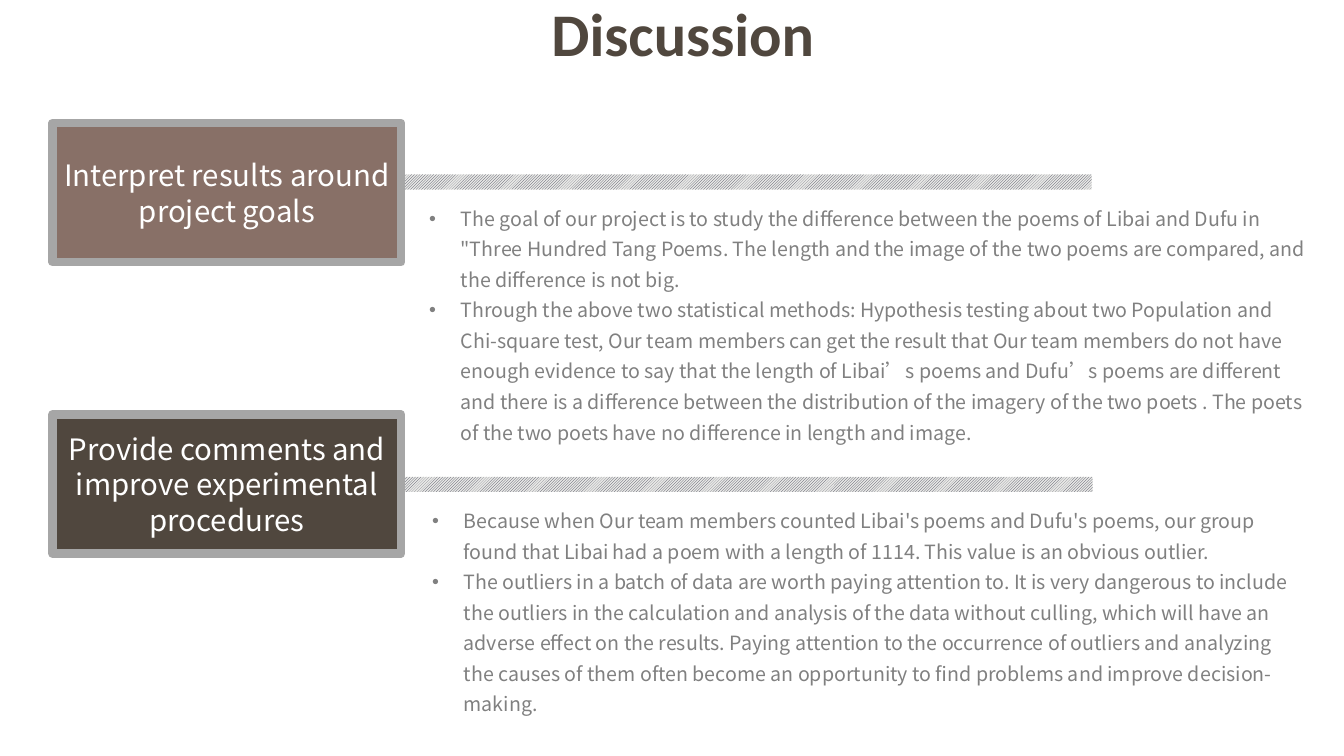
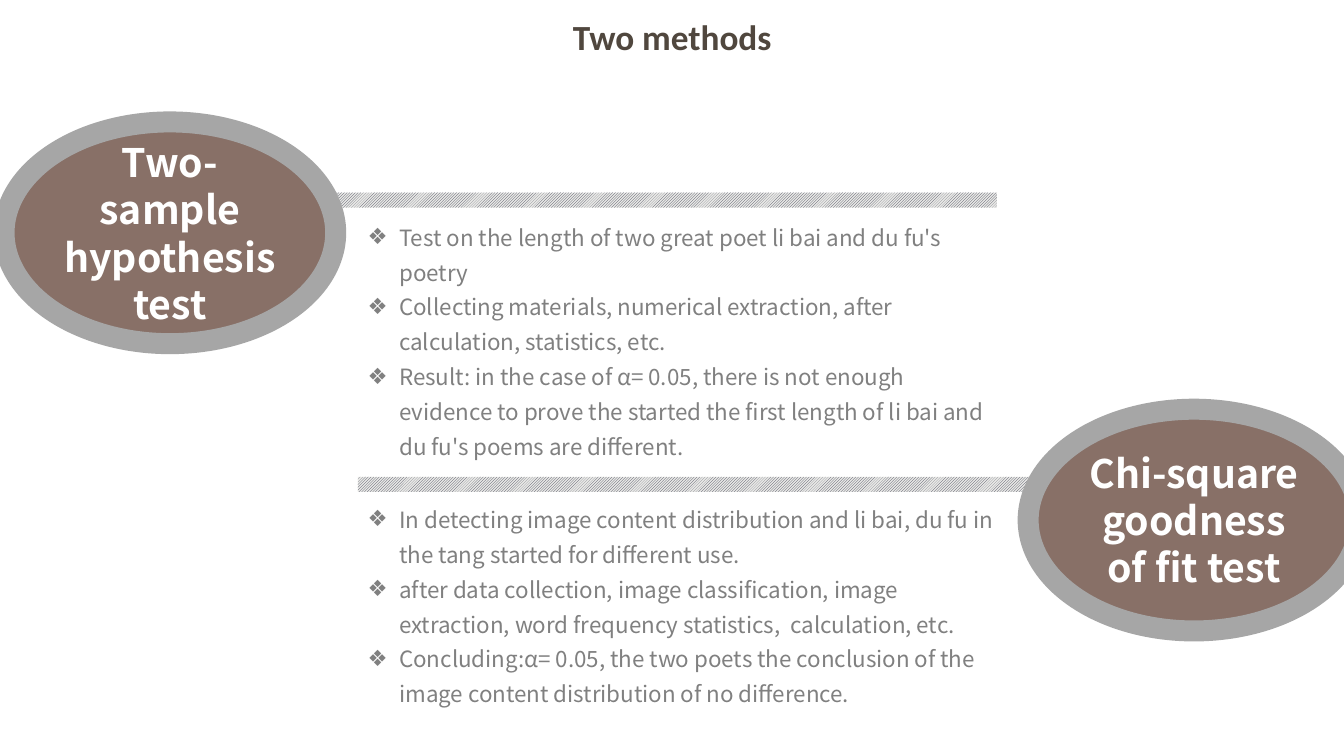
import dataclasses

import lxml.etree
import pptx
import pptx.dml.color
import pptx.enum.dml
import pptx.enum.shapes
import pptx.enum.text
import pptx.oxml.ns
import pptx.util

Pt = pptx.util.Pt
COLORS = {
    "dark": "50473E",
    "brown": "887067",
    "border": "A6A6A6",
    "body": "808080",
    "white": "FFFFFF",
    "stripe": "414455",
    "stripe_back": "E8E8E6",
}
TITLE_FONT = "Calibri"
BODY_FONT = "Noto Sans CJK SC"
BAR_SIZE = (493.2, 10.8)
INDENT = Pt(22.5)
CENTER = pptx.enum.text.PP_ALIGN.CENTER
MIDDLE = pptx.enum.text.MSO_ANCHOR.MIDDLE


@dataclasses.dataclass
class TopicStyle:
    badge_shape: int
    badge_size: tuple
    badge_margins: tuple
    border: float
    label_size: float
    label_bold: bool
    bullet: str
    body_size: float


DISCUSSION = TopicStyle(
    pptx.enum.shapes.MSO_SHAPE.RECTANGLE, (249.1, 99.4), (0, 0), 6, 21, False, "•", 14
)
METHODS = TopicStyle(
    pptx.enum.shapes.MSO_SHAPE.OVAL, (236.9, 158.4), (7.2, 3.6), 15, 28, True, "❖", 16
)


def rgb(name):
    return pptx.dml.color.RGBColor.from_string(COLORS[name])


def points(*lengths):
    return [Pt(length) for length in lengths]


def format_runs(paragraph, font_name, size, color, bold=False):
    for run in paragraph.runs:
        run.font.name = font_name
        run.font.size = Pt(size)
        run.font.bold = bold
        run.font.color.rgb = rgb(color)


def set_bullet(paragraph, symbol):
    properties = paragraph._p.get_or_add_pPr()
    properties.set("marL", str(INDENT))
    properties.set("indent", str(-INDENT))
    for tag, key, value in (("a:buFont", "typeface", "Arial"), ("a:buChar", "char", symbol)):
        bullet = lxml.etree.SubElement(properties, pptx.oxml.ns.qn(tag))
        bullet.set(key, value)


def add_title(slide, text, box, size):
    title = slide.shapes.title
    title.left, title.top, title.width, title.height = points(*box)
    frame = title.text_frame
    frame.text = text
    frame.auto_size = pptx.enum.text.MSO_AUTO_SIZE.NONE
    frame.vertical_anchor = MIDDLE
    frame.paragraphs[0].alignment = CENTER
    format_runs(frame.paragraphs[0], TITLE_FONT, size, "dark", True)


def add_bar(slide, left, top):
    bar = slide.shapes.add_shape(
        pptx.enum.shapes.MSO_SHAPE.RECTANGLE, *points(left, top, *BAR_SIZE)
    )
    bar.shadow.inherit = False
    bar.line.fill.background()
    bar.fill.patterned()
    bar.fill.pattern = pptx.enum.dml.MSO_PATTERN.LIGHT_UPWARD_DIAGONAL
    bar.fill.fore_color.rgb = rgb("stripe")
    bar.fill.back_color.rgb = rgb("stripe_back")


def add_badge(slide, left, top, label, color, style):
    badge = slide.shapes.add_shape(
        style.badge_shape, *points(left, top, *style.badge_size)
    )
    badge.shadow.inherit = False
    badge.fill.solid()
    badge.fill.fore_color.rgb = rgb(color)
    badge.line.color.rgb = rgb("border")
    badge.line.width = Pt(style.border)
    frame = badge.text_frame
    frame.text = label
    frame.word_wrap = True
    frame.vertical_anchor = MIDDLE
    horizontal, vertical = points(*style.badge_margins)
    frame.margin_left = frame.margin_right = horizontal
    frame.margin_top = frame.margin_bottom = vertical
    frame.paragraphs[0].alignment = CENTER
    format_runs(
        frame.paragraphs[0], BODY_FONT, style.label_size, "white", style.label_bold
    )


def add_topic(slide, box, bar_offset, badge_offset, label, color, findings, style):
    left, top = box[:2]
    add_bar(slide, left + bar_offset[0], top + bar_offset[1])
    add_badge(
        slide, left + badge_offset[0], top + badge_offset[1], label, color, style
    )
    frame = slide.shapes.add_textbox(*points(*box)).text_frame
    frame.word_wrap = True
    frame.text = "\n".join(findings)
    for paragraph in frame.paragraphs:
        paragraph.line_spacing = 1.3
        set_bullet(paragraph, style.bullet)
        format_runs(paragraph, BODY_FONT, style.body_size, "body")


def new_slide(presentation):
    return presentation.slides.add_slide(
        presentation.slide_layouts.get_by_name("Title Only")
    )


def build_discussion(presentation):
    slide = new_slide(presentation)
    add_title(slide, "Discussion", (333.4, -7.9, 308.9, 62.6), 43.2)
    add_topic(
        slide, (299.5, 139, 640.8, 181.4), (-12.9, -14.4), (-262, -51.1),
        "Interpret results around project goals", "brown",
        [
            "The goal of our project is to study the difference between the poems of "
            "Libai and Dufu in \"Three Hundred Tang Poems. The length and the image of "
            "the two poems are compared, and the difference is not big.",
            "Through the above two statistical methods: Hypothesis testing about two "
            "Population and Chi-square test, Our team members can get the result that "
            "Our team members do not have enough evidence to say that the length of "
            "Libai’s poems and Dufu’s poems are different and there is a difference "
            "between the distribution of the imagery of the two poets . The poets of "
            "the two poets have no difference in length and image.",
        ],
        DISCUSSION,
    )
    add_topic(
        slide, (301.7, 355, 638.6, 159.8), (-14.4, -14.4), (-264.2, -59),
        "Provide comments and improve experimental procedures", "dark",
        [
            "Because when Our team members counted Libai's poems and Dufu's poems, our "
            "group found that Libai had a poem with a length of 1114. This value is an "
            "obvious outlier.",
            "The outliers in a batch of data are worth paying attention to. It is very "
            "dangerous to include the outliers in the calculation and analysis of the "
            "data without culling, which will have an adverse effect on the results. "
            "Paying attention to the occurrence of outliers and analyzing the causes of "
            "them often become an opportunity to find problems and improve "
            "decision-making.",
        ],
        DISCUSSION,
    )


def build_methods(presentation):
    slide = new_slide(presentation)
    add_title(slide, "Two methods", (335.5, 9.4, 289.4, 33.1), 25.2)
    add_topic(
        slide, (255.6, 150.5, 465.1, 181.4), (-36.7, -13), (-252.7, -63.4),
        "Two-sample hypothesis test", "brown",
        [
            "Test on the length of two great poet li bai and du fu's poetry",
            "Collecting materials, numerical extraction, after calculation, "
            "statistics, etc.",
            "Result: in the case of α= 0.05, there is not enough evidence to prove the "
            "started the first length of li bai and du fu's poems are different.",
        ],
        METHODS,
    )
    add_topic(
        slide, (255.6, 352.1, 465.1, 156.2), (0, -11.5), (478.8, -59.8),
        "Chi-square goodness of fit test", "brown",
        [
            "In detecting image content distribution and li bai, du fu in the tang "
            "started for different use.",
            "after data collection, image classification, image extraction, word "
            "frequency statistics,  calculation, etc.",
            "Concluding:α= 0.05, the two poets the conclusion of the image content "
            "distribution of no difference.",
        ],
        METHODS,
    )


def main():
    presentation = pptx.Presentation()
    presentation.slide_width, presentation.slide_height = points(960, 540)
    build_discussion(presentation)
    build_methods(presentation)
    presentation.save("out.pptx")


if __name__ == "__main__":
    main()
